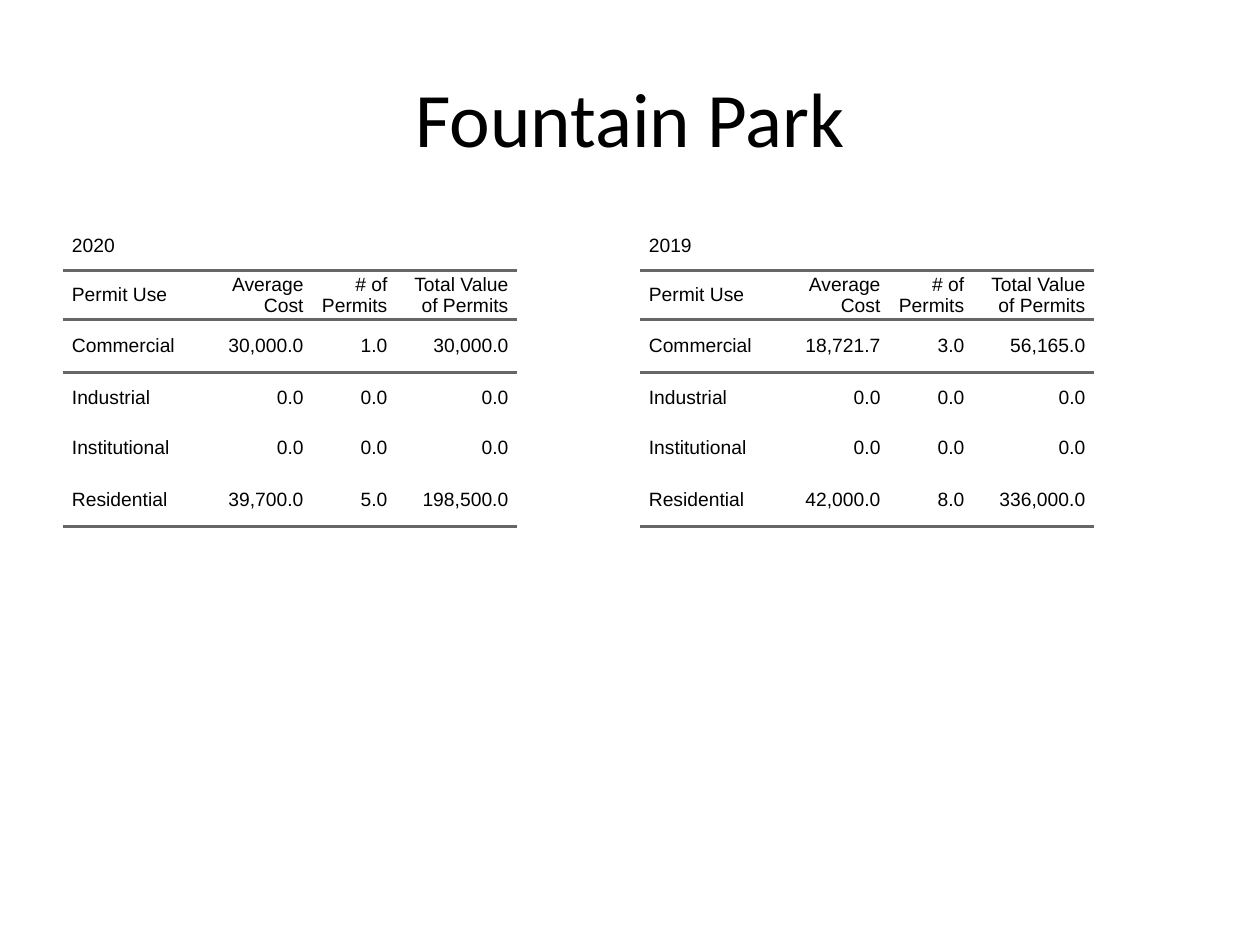
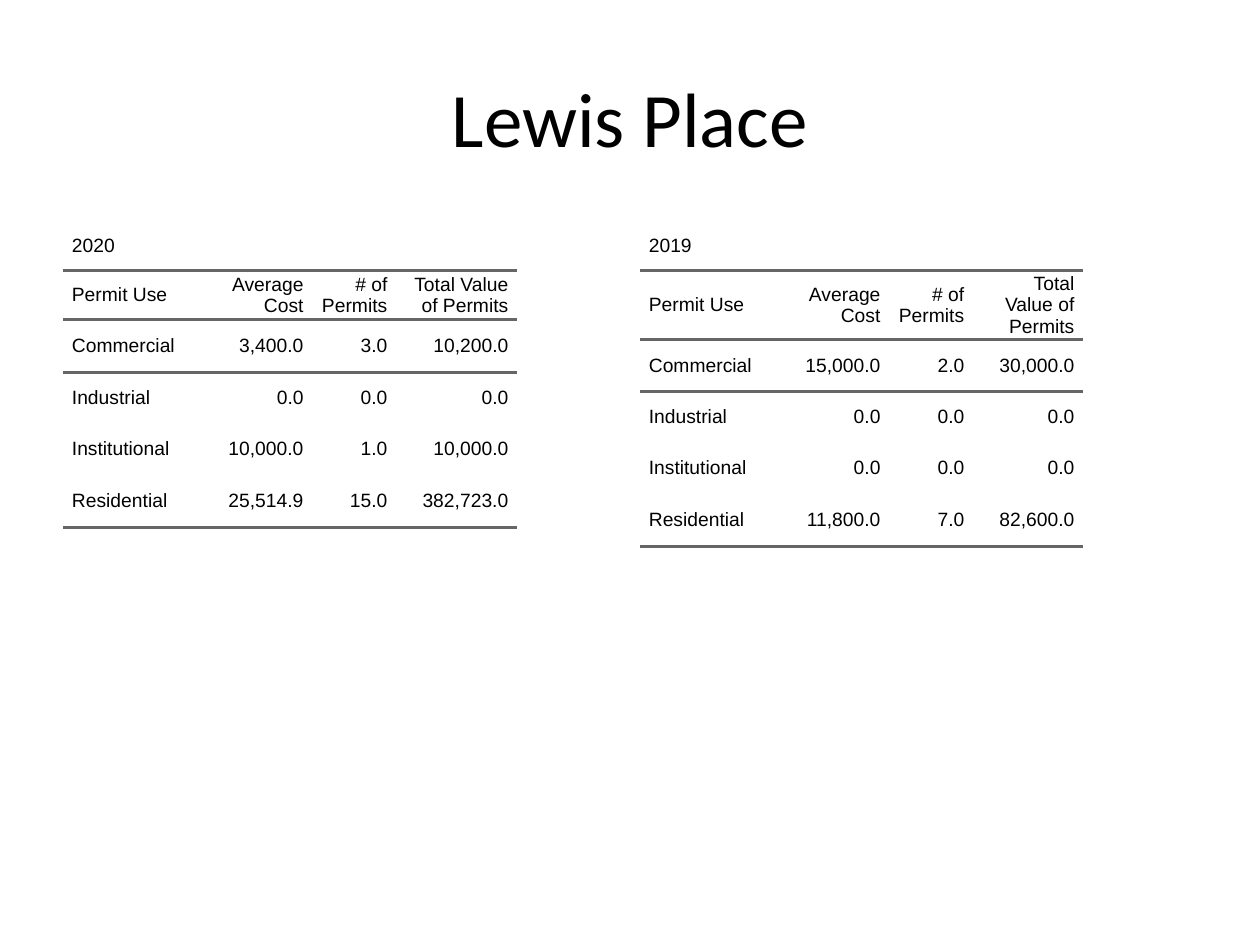
from lxml import etree
from pptx import Presentation
from pptx.dml.color import RGBColor
from pptx.enum.text import MSO_ANCHOR, PP_ALIGN
from pptx.oxml.ns import qn
from pptx.util import Cm, Pt

LEFT, CENTER, RIGHT = PP_ALIGN.LEFT, PP_ALIGN.CENTER, PP_ALIGN.RIGHT
MIDDLE = MSO_ANCHOR.MIDDLE

# Shared style
BLACK, RULE_GRAY = "000000", "666666"
TITLE_FONT, TABLE_FONT = "Calibri", "Arial"
NO_STYLE = "{2D5ABB26-0587-4C30-8999-92F81FD0307C}"
CELL_INDENT = Cm(0.18)

# Table layout in centimetres
TABLE_TOP = 4.45
TABLE_LEFTS = {"2020": 1.27, "2019": 12.9}
LABEL_WIDTHS = [2.79, 2.24, 1.69]
TOTAL_WIDTH, NARROW_TOTAL_WIDTH = 2.44, 2.22
HEADER_HEIGHT, EMPTY_HEIGHT, VALUE_HEIGHT, LAST_HEIGHT = 1.0, 1.02, 1.05, 1.07

HEADINGS = ["Permit Use", "Average Cost", "# of Permits", "Total Value of Permits"]
NO_PERMITS = ["0.0", "0.0", "0.0"]

# Neighbourhood -> year -> permit use -> average cost, count, total value
PERMITS = {
    "Fountain Park": {
        "2020": {
            "Commercial": ["30,000.0", "1.0", "30,000.0"],
            "Industrial": NO_PERMITS,
            "Institutional": NO_PERMITS,
            "Residential": ["39,700.0", "5.0", "198,500.0"],
        },
        "2019": {
            "Commercial": ["18,721.7", "3.0", "56,165.0"],
            "Industrial": NO_PERMITS,
            "Institutional": NO_PERMITS,
            "Residential": ["42,000.0", "8.0", "336,000.0"],
        },
    },
    "Lewis Place": {
        "2020": {
            "Commercial": ["3,400.0", "3.0", "10,200.0"],
            "Industrial": NO_PERMITS,
            "Institutional": ["10,000.0", "1.0", "10,000.0"],
            "Residential": ["25,514.9", "15.0", "382,723.0"],
        },
        "2019": {
            "Commercial": ["15,000.0", "2.0", "30,000.0"],
            "Industrial": NO_PERMITS,
            "Institutional": NO_PERMITS,
            "Residential": ["11,800.0", "7.0", "82,600.0"],
        },
    },
}


def color(value):
    return RGBColor.from_string(value)


def write(frame, text, *, size, font, align=LEFT, ink=BLACK, indent=0):
    frame.word_wrap = True
    para = frame.paragraphs[0]
    para.alignment = align
    if indent:
        properties = para._p.get_or_add_pPr()
        properties.set("marL", str(indent))
        properties.set("marR", str(indent))
    span = para.add_run()
    span.text = text
    span.font.size = Pt(size)
    span.font.name = font
    span.font.color.rgb = color(ink)


def add_title(page, text):
    box = page.shapes.add_textbox(Cm(1.27), Cm(0.76), Cm(22.86), Cm(3.18))
    box.text_frame.vertical_anchor = MIDDLE
    write(box.text_frame, text, size=44, font=TITLE_FONT, align=CENTER)


def add_rule(cell, edge):
    """Draw one border; edge is lnT or lnB, and lnT must come first."""
    properties = cell._tc.get_or_add_tcPr()
    line = etree.Element(qn(f"a:{edge}"), w=str(Pt(2)))
    fill = etree.SubElement(line, qn("a:solidFill"))
    etree.SubElement(fill, qn("a:srgbClr"), val=RULE_GRAY)
    borders = [child for child in properties if child.tag == qn("a:lnT")]
    properties.insert(len(borders), line)


def fill_cell(cell, text, align):
    cell.margin_left = cell.margin_right = cell.margin_top = cell.margin_bottom = 0
    cell.vertical_anchor = MIDDLE
    cell.fill.background()
    write(cell.text_frame, text, size=11, font=TABLE_FONT, align=align,
          indent=CELL_INDENT)


def row_heights(uses):
    heights = [EMPTY_HEIGHT if values == NO_PERMITS else VALUE_HEIGHT
               for values in uses.values()]
    return [HEADER_HEIGHT, HEADER_HEIGHT, *heights[:-1], LAST_HEIGHT]


def add_permit_table(page, year, uses, total_width):
    widths = LABEL_WIDTHS + [total_width]
    heights = row_heights(uses)
    table = page.shapes.add_table(
        len(heights), len(widths), Cm(TABLE_LEFTS[year]), Cm(TABLE_TOP),
        Cm(sum(widths)), Cm(sum(heights))).table
    table.first_row = table.horz_banding = False
    table._tbl.tblPr.find(qn("a:tableStyleId")).text = NO_STYLE
    for column, width in zip(table.columns, widths):
        column.width = Cm(width)
    for row, height in zip(table.rows, heights):
        row.height = Cm(height)

    # Year across the full width
    table.cell(0, 0).merge(table.cell(0, len(widths) - 1))
    fill_cell(table.cell(0, 0), year, LEFT)

    # Headings and values, ruled around the headings and below the last row
    lines = [HEADINGS] + [[use, *values] for use, values in uses.items()]
    for row_index, line in enumerate(lines, start=1):
        for column_index, text in enumerate(line):
            cell = table.cell(row_index, column_index)
            fill_cell(cell, text, RIGHT if column_index else LEFT)
            if row_index in (1, 2):
                add_rule(cell, "lnT")
            if row_index in (1, len(lines)):
                add_rule(cell, "lnB")


def main():
    deck = Presentation()
    deck.slide_width, deck.slide_height = Cm(25.4), Cm(19.05)
    for place, years in PERMITS.items():
        page = deck.slides.add_slide(deck.slide_layouts[6])
        for year, uses in years.items():
            narrow = (place, year) == ("Lewis Place", "2019")
            add_permit_table(page, year, uses,
                             NARROW_TOTAL_WIDTH if narrow else TOTAL_WIDTH)
        add_title(page, place)
    deck.save("out.pptx")


if __name__ == "__main__":
    main()
